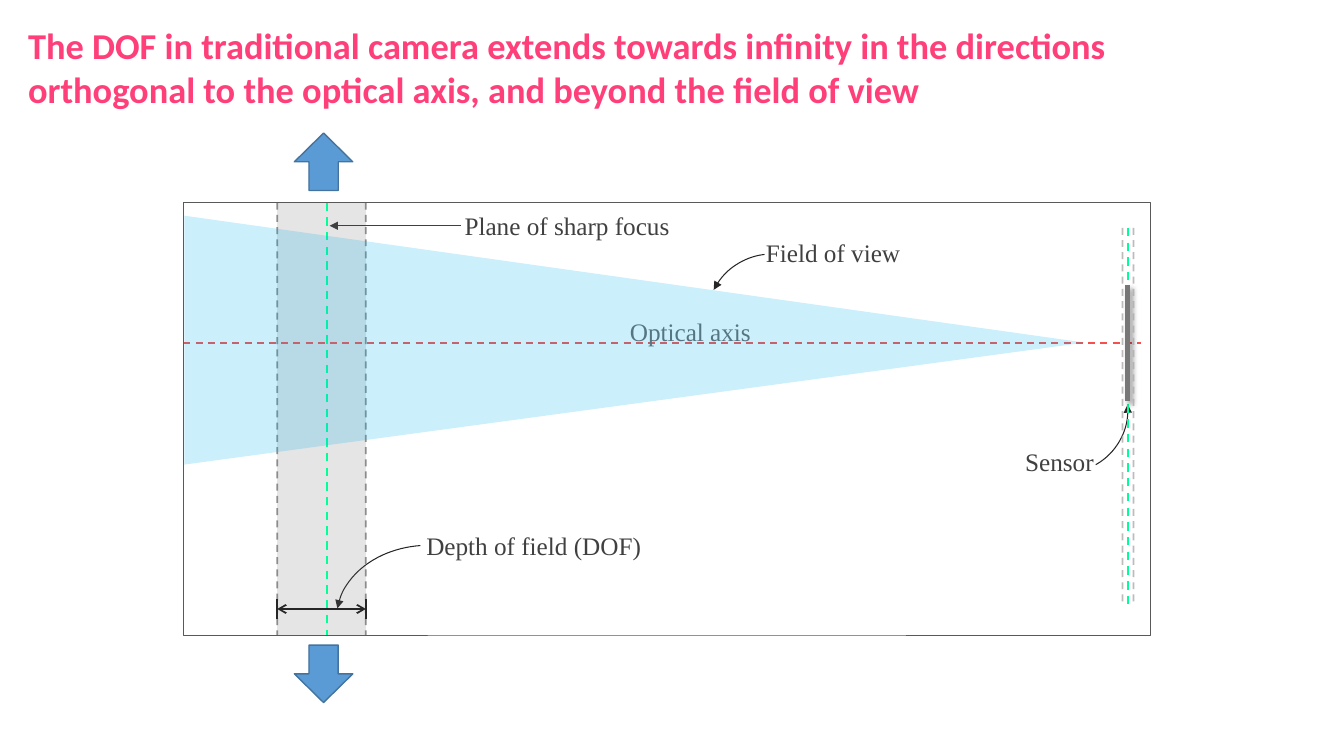
from dataclasses import dataclass

from pptx import Presentation
from pptx import util as u
from pptx.dml.color import RGBColor
from pptx.enum import dml, shapes, text
from pptx.oxml import ns
from pptx.oxml.xmlchemy import OxmlElement

Kind = shapes.MSO_SHAPE


# Colours and type sizes
@dataclass(frozen=True)
class Theme:
    title: str = "FF3F7A"
    label: str = "404040"
    faint: str = "6B6767"
    ink: str = "262626"
    axis: str = "F5504E"
    focus: str = "00FF99"
    edge: str = "808080"
    pale: str = "AFABAB"
    chip: str = "777777"
    band: str = "767171"
    view: str = "00B0F0"
    arrow: str = "5B9BD5"
    rim: str = "43739E"
    frame: str = "595959"
    shade: str = "000000"
    head: int = 26
    body: int = 18
    sans: str = "Calibri"
    serif: str = "Times New Roman"


@dataclass
class Line:
    x1: float
    y1: float
    x2: float
    y2: float
    color: str
    width: float
    dash: bool = False
    alpha: int = 100
    head: str = ""
    tail: str = ""
    glow: bool = False


@dataclass
class Form:
    kind: Kind
    x: float
    y: float
    w: float
    h: float
    fill: str = ""
    alpha: int = 100
    line: str = ""
    width: float = 1
    turn: int = 0
    adj: tuple = ()
    head: str = ""


@dataclass
class Label:
    words: str
    x: float
    y: float
    w: float
    color: str
    mid: bool = True


T = Theme()

# The slide is a grid of 160 columns and 90 rows
COLS, ROWS = 160, 90
deck = Presentation()
deck.slide_width, deck.slide_height = u.Inches(13.33), u.Inches(7.5)
slide = deck.slides.add_slide(deck.slide_layouts[6])


def col(n: float) -> int:
    return round(deck.slide_width * n / COLS)


def row(n: float) -> int:
    return round(deck.slide_height * n / ROWS)


def add(root, tag: str, **attrs):
    node = OxmlElement(tag)
    for name, value in attrs.items():
        node.set(name, str(value))
    root.append(node)
    return node


def fade(paint, alpha: int) -> None:
    if alpha < 100:
        for clr in paint.iter(ns.qn("a:srgbClr")):
            add(clr, "a:alpha", val=alpha * 1000)


def ends(item, head: str, tail: str) -> None:
    ln = item._element.spPr.get_or_add_ln()
    if head:
        add(ln, "a:headEnd", type=head)
    if tail:
        add(ln, "a:tailEnd", type=tail)


def draw_line(p: Line) -> None:
    item = slide.shapes.add_connector(
        shapes.MSO_CONNECTOR.STRAIGHT, col(p.x1), row(p.y1), col(p.x2), row(p.y2))
    item.line.color.rgb = RGBColor.from_string(p.color)
    item.line.width = u.Pt(p.width)
    if p.dash:
        item.line.dash_style = dml.MSO_LINE.DASH
    fade(item._element.spPr, p.alpha)
    ends(item, p.head, p.tail)
    fx = add(item._element.spPr, "a:effectLst")
    if p.glow:
        cast = add(fx, "a:outerShdw", blurRad=u.Pt(4), dist=u.Pt(3), dir=45 * 60000)
        add(cast, "a:srgbClr", val=T.shade)
        fade(cast, 40)


def draw_form(p: Form) -> None:
    item = slide.shapes.add_shape(p.kind, col(p.x), row(p.y), col(p.w), row(p.h))
    item.shadow.inherit = False
    item.rotation = p.turn
    for i, value in enumerate(p.adj):
        item.adjustments[i] = value
    if p.fill:
        item.fill.solid()
        item.fill.fore_color.rgb = RGBColor.from_string(p.fill)
        fade(item._element.spPr, p.alpha)
    else:
        item.fill.background()
    if p.line:
        item.line.color.rgb = RGBColor.from_string(p.line)
        item.line.width = u.Pt(p.width)
        ends(item, p.head, "")
    else:
        item.line.fill.background()


def write(words: str, x: float, y: float, w: float, h: float, *, size: int, font: str,
          color: str, bold: bool = False, mid: bool = False, wrap: bool = True) -> None:
    frame = slide.shapes.add_textbox(col(x), row(y), col(w), row(h)).text_frame
    frame.word_wrap = wrap
    frame.text = words
    for para in frame.paragraphs:
        para.alignment = text.PP_ALIGN.CENTER if mid else text.PP_ALIGN.LEFT
        for run in para.runs:
            run.font.size, run.font.name, run.font.bold = u.Pt(size), font, bold
            run.font.color.rgb = RGBColor.from_string(color)


# Key places on the grid
LEFT, TOP, WIDE, HIGH = 21.84, 24.12, 115.08, 51.48
BASE = TOP + HIGH
NEAR, SHARP, FAR = 33, 38.9, 43.56
CHIP, GAP = 134.28, 0.66
AXIS, SPAN = 40.8, 72.5

# Title
write("The DOF in traditional camera extends towards infinity in the directions\n"
      "orthogonal to the optical axis, and beyond the field of view",
      2.16, 2.16, 144.72, 11.76, size=T.head, font=T.sans, color=T.title,
      bold=True, wrap=False)

# Curved pointers and the depth of field band
ARC = dict(kind=Kind.ARC, line=T.ink, width=0.75, head="triangle")
for form in (
    Form(x=40.08, y=64.92, w=21.96, h=17.28, adj=(111.53, 158), **ARC),
    Form(x=119.28, y=41.28, w=15, h=15, adj=(213.07, 36.42), **ARC),
    Form(x=84.12, y=30.24, w=15.6, h=15.6, adj=(124.14, 158), **ARC),
    Form(Kind.RECTANGLE, NEAR, TOP, FAR - NEAR, HIGH, T.band, 18),
):
    draw_form(form)

# Axis, focus planes, sensor, depth measure
lines = [
    Line(LEFT, AXIS, 135.84, AXIS, T.axis, 1.25, True),
    Line(SHARP, TOP, SHARP, BASE, T.focus, 1.5, True),
    Line(CHIP, 27.12, CHIP, 72, T.focus, 1.5, True),
    Line(CHIP, 33.96, CHIP, 47.76, T.chip, 3.5, glow=True),
    Line(NEAR, SPAN, FAR, SPAN, T.ink, 1.25, head="arrow", tail="arrow"),
    Line(54.84, 26.88, 39.24, 26.88, T.label, 0.75, tail="triangle"),
]
lines += [Line(x, 27.12, x, 72, T.pale, 1.25, True, 80) for x in (CHIP - GAP, CHIP + GAP)]
for x in (NEAR, FAR):
    lines += [Line(x, TOP, x, BASE, T.edge, 1.25, True, 88),
              Line(x, SPAN - 1.14, x, SPAN + 1.14, T.ink, 1.25)]
for line in lines:
    draw_line(line)

# Labels
for tag in (
    Label("Optical axis", 73.8, 37.08, 18.48, T.faint, False),
    Label("Plane of sharp focus", 54.12, 24.48, 27.12, T.label, False),
    Label("Depth of field (DOF)", 48.84, 62.52, 29.4, T.label),
    Label("Sensor", 120, 52.56, 12.24, T.label),
    Label("Field of view", 84.48, 27.72, 29.4, T.label),
):
    write(tag.words, tag.x, tag.y, tag.w, 4.8, size=T.body, font=T.serif,
          color=tag.color, mid=tag.mid)

# Field of view, outward arrows, frame
BLOCK = dict(kind=Kind.DOWN_ARROW, x=35.04, w=6.96, h=6.84, fill=T.arrow, line=T.rim)
for form in (
    Form(Kind.ISOSCELES_TRIANGLE, 60.72, -13.08, 29.64, 107.16, T.view, 20,
         turn=90, adj=(0.51,)),
    Form(y=76.8, **BLOCK),
    Form(y=15.84, turn=180, **BLOCK),
    Form(Kind.RECTANGLE, LEFT, TOP, WIDE, HIGH, line=T.frame, width=0.5),
):
    draw_form(form)

deck.save("out.pptx")
